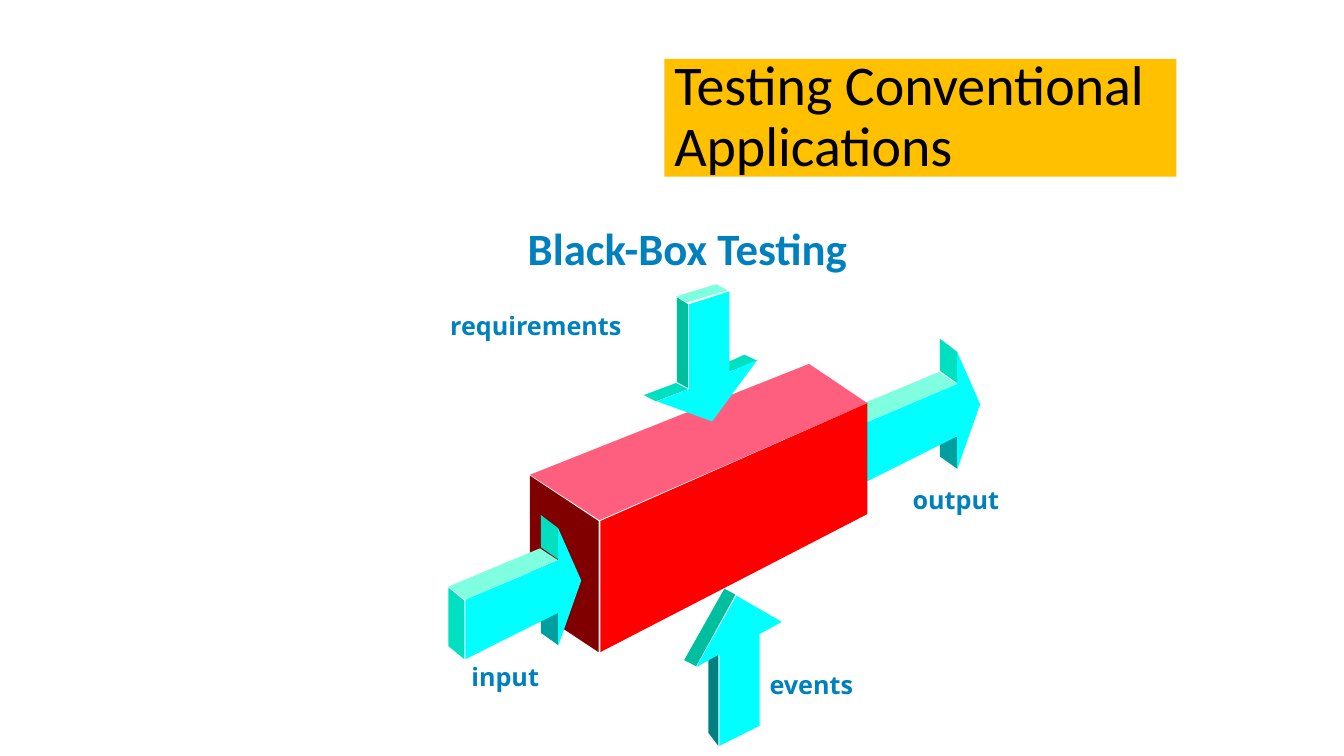
from pptx import Presentation
from pptx.dml.color import RGBColor as RGB
from pptx.enum.text import MSO_ANCHOR as Anchor
from pptx.util import Pt

BLACK = RGB(0x00, 0x00, 0x00)
AMBER = RGB(0xFF, 0xC0, 0x00)
BLUE = RGB(0x00, 0x81, 0xBD)
CYAN = RGB(0x00, 0xFF, 0xFF)
MINT = RGB(0x7F, 0xFF, 0xDF)
AQUA = RGB(0x00, 0xDF, 0xBF)
JADE = RGB(0x00, 0xBF, 0x9F)
TEAL = RGB(0x00, 0x9F, 0x9F)
DEEP = RGB(0x00, 0x80, 0x80)
RED = RGB(0xFF, 0x00, 0x00)
PINK = RGB(0xFF, 0x5F, 0x7F)
MAROON = RGB(0x80, 0x00, 0x00)

# Each solid is a list of faces, back to front: colour and corners in points
FLOW = [
    (TEAL, [(78.5, 92.9), (78.5, 70.6), (66.2, 61.2), (66.2, 84.2)]),
    (CYAN, [(78.5, 32.4), (12.2, 60.5), (12.2, 103), (78.5, 69.8),
            (78.5, 93.6), (95, 46.8), (78.5, 9.4)]),
    (AQUA, [(11.5, 61.2), (11.5, 103), (0, 93.6), (0, 51.8)]),
    (MINT, [(0, 51.1), (12.2, 60.5), (78.5, 32.4), (65.5, 23.8)]),
    (AQUA, [(78.5, 9.4), (66.2, 0), (66.2, 23), (78.5, 31.7)]),
]
EVENTS = [
    (DEEP, [(513.4, 532.8), (513.4, 467.3), (506.2, 463), (506.2, 523.4)]),
    (CYAN, [(526.3, 425.5), (558.7, 444.2), (542.9, 452.9), (542.9, 518.4),
            (514.1, 532.8), (514.1, 467.3), (497.5, 476.6)]),
    (JADE, [(497.5, 475.9), (488.9, 471.6), (517.7, 420.5), (525.6, 424.8)]),
]
BOX = [
    (MAROON, [(378.7, 339.8), (427.7, 372.2), (427.7, 465.8), (378.7, 433.4)]),
    (PINK, [(378.7, 339.1), (428.4, 371.5), (619.9, 288), (578.2, 259.9)]),
    (RED, [(429.1, 372.2), (429.1, 465.8), (619.9, 367.2), (619.9, 288)]),
]
NEEDS = [
    (MINT, [(483.1, 211.7), (491, 216), (519.8, 207.4), (511.9, 203)]),
    (AQUA, [(520.6, 265.7), (541.4, 257.8), (532.1, 253.4), (512.6, 262.1)]),
    (CYAN, [(492.5, 217.4), (521.3, 208.1), (521.3, 265.7), (541.4, 257),
            (509, 301), (469.4, 286.6), (492.5, 277.9)]),
    (AQUA, [(468.7, 286.6), (460.1, 282.2), (483.1, 273.6), (491.8, 277.9)]),
    (JADE, [(483.8, 272.9), (491.8, 277.2), (491.8, 217.4), (483.8, 212.4)]),
]
LABELS = [
    ("requirements", 314.6, 218.2, 137.5),
    ("events", 542.9, 474.5, 74.2),
    ("input", 329.8, 468.7, 62.6),
    ("output", 645.1, 342.7, 76.3),
]


def add_text(slide, text, x, y, w, h, *, size=18, font="Open Sans",
             color=BLUE, bold=True, wrap=False, fill=None,
             anchor=Anchor.TOP, space=1.0):
    box = slide.shapes.add_textbox(Pt(x), Pt(y), Pt(w), Pt(h))
    if fill is not None:
        box.fill.solid()
        box.fill.fore_color.rgb = fill
    frame = box.text_frame
    frame.word_wrap = wrap
    frame.vertical_anchor = anchor
    para = frame.paragraphs[0]
    para.line_spacing = space
    run = para.add_run()
    run.text = text
    run.font.size = Pt(size)
    run.font.name = font
    run.font.bold = bold
    run.font.color.rgb = color


def add_face(slide, color, points):
    first, *rest = [(Pt(x), Pt(y)) for x, y in points]
    pen = slide.shapes.build_freeform(*first, scale=1.0)
    pen.add_line_segments(rest, close=True)
    face = pen.convert_to_shape()
    face.shadow.inherit = False
    face.fill.solid()
    face.fill.fore_color.rgb = color
    face.line.fill.background()


def add_solid(slide, faces, left=0, top=0):
    for color, points in faces:
        add_face(slide, color, [(left + x, top + y) for x, y in points])


def main():
    deck = Presentation()
    deck.slide_width, deck.slide_height = Pt(960.5), Pt(540)
    slide = deck.slides.add_slide(deck.slide_layouts[6])

    # Title and heading
    add_text(slide, "Testing Conventional Applications", 474.8, 42, 366, 84.2,
             size=40, font="Calibri", color=BLACK, bold=False, wrap=True,
             fill=AMBER, anchor=Anchor.MIDDLE, space=0.9)
    add_text(slide, "Black-Box Testing", 370.1, 154.1, 324, 46.1,
             size=32, font="Calibri", wrap=True)

    # Box and its arrows, back to front
    add_solid(slide, FLOW, 605.5, 241.9)
    add_solid(slide, EVENTS)
    add_solid(slide, BOX)
    add_solid(slide, NEEDS)
    add_solid(slide, FLOW, 320.4, 367.9)

    # Arrow labels
    for text, x, y, w in LABELS:
        add_text(slide, text, x, y, w, 28.8)

    deck.save("out.pptx")


if __name__ == "__main__":
    main()
